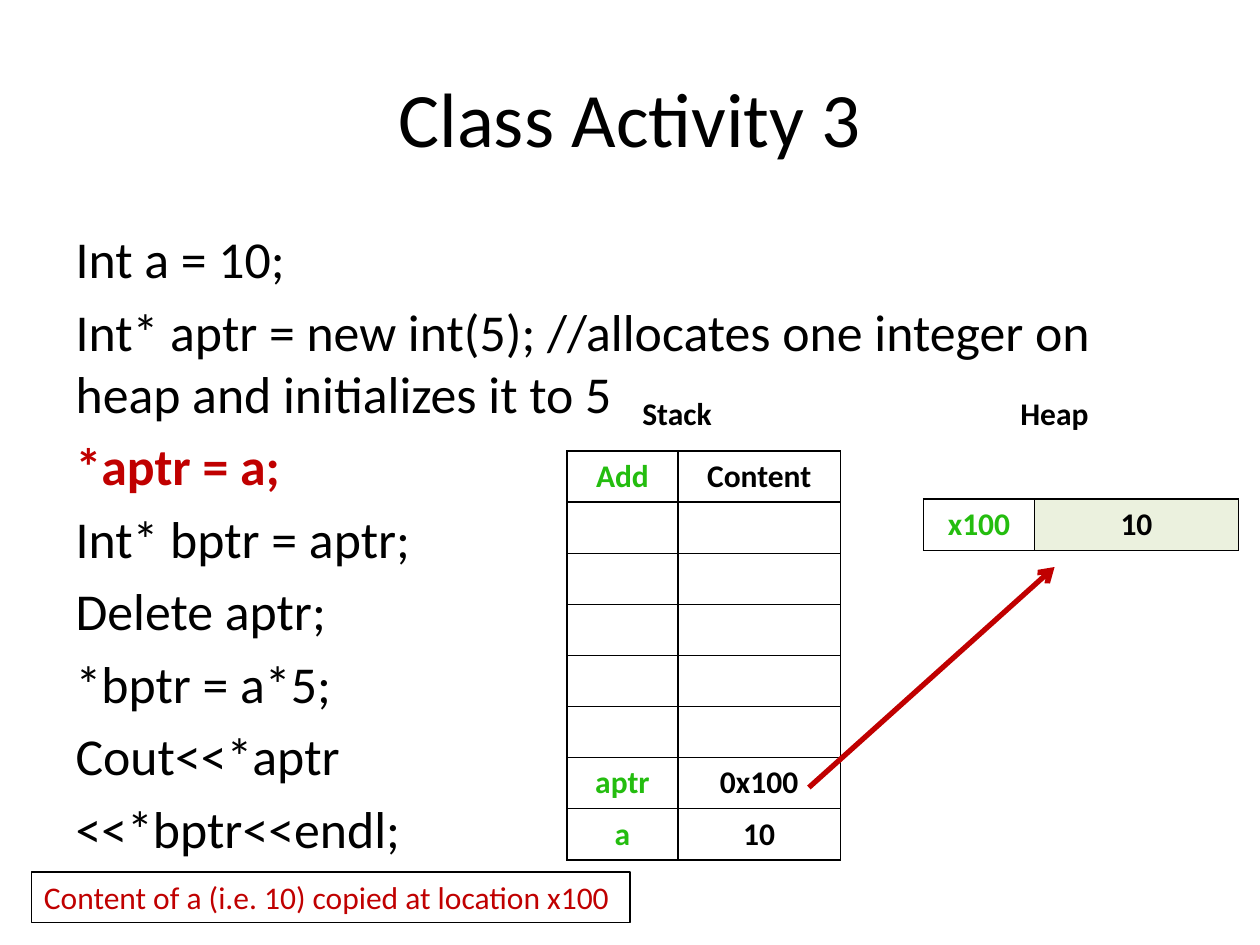
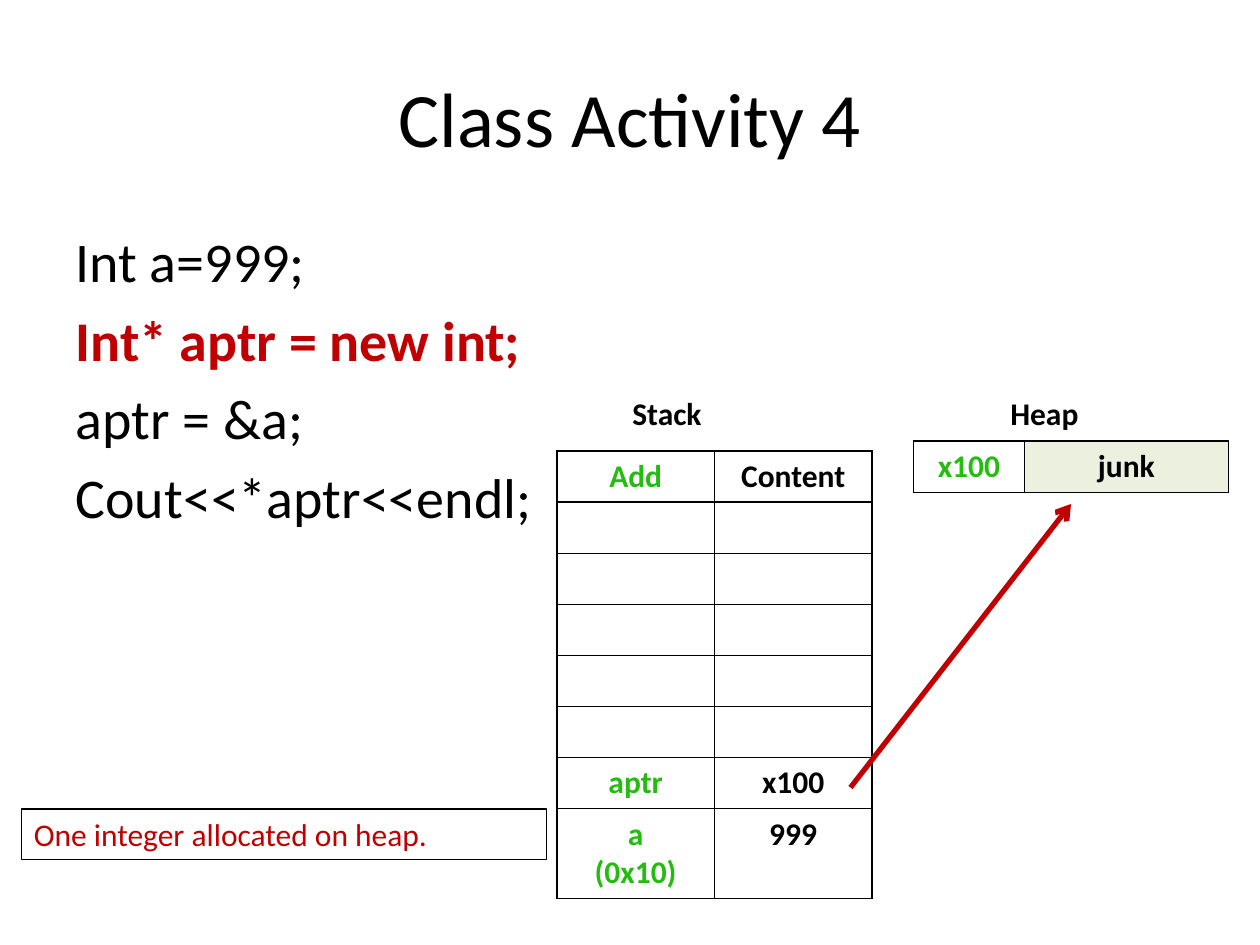
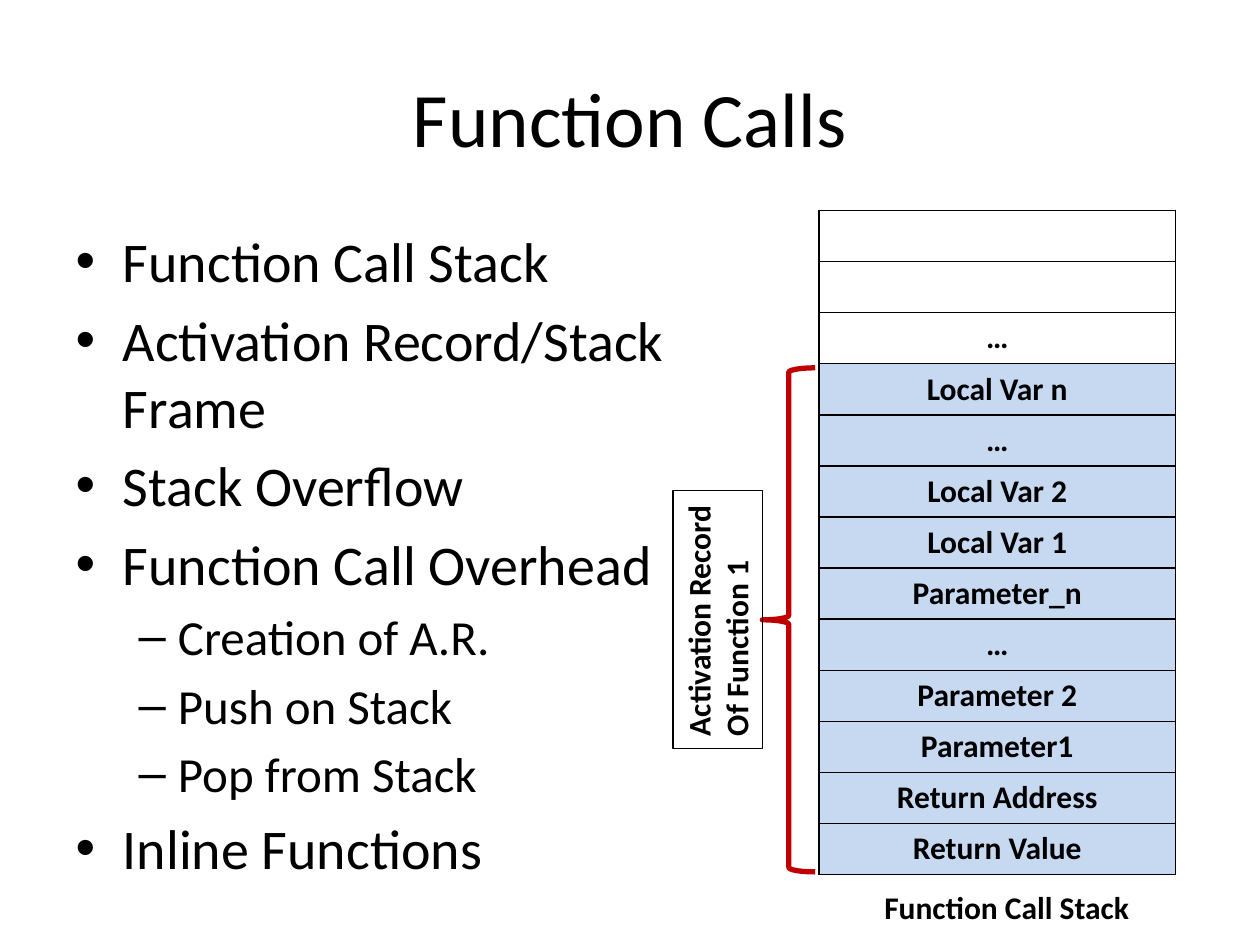
"""Build three slides on pointers, the heap and the function call stack."""
import pptx
import pptx.dml.color
import pptx.enum.shapes
import pptx.enum.text
import pptx.oxml.ns
import pptx.util
from lxml import etree

Inches = pptx.util.Inches
Pt = pptx.util.Pt
FONT = "Calibri"
BLACK = "000000"
RED = "C00000"
GREEN = "24BD0F"
OLIVE = "EBF1DE"
BLUE = "C6D9F1"
CENTER = pptx.enum.text.PP_ALIGN.CENTER
SHAPE = pptx.enum.shapes.MSO_SHAPE


def color(code):
    """Turn a hex string into a colour."""
    return pptx.dml.color.RGBColor.from_string(code)


def place(at):
    """Turn a list of inches into lengths."""
    return [Inches(num) for num in at]


def sub(node, tag, **attrs):
    """Add a drawing element below a node."""
    return etree.SubElement(node, pptx.oxml.ns.qn(tag), **attrs)


def write(frame, text, size=18, hue=BLACK, bold=None, align=None, level=0, plain=False):
    """Add each line of the text as a paragraph in the given format."""
    for line in text.split("\n"):
        para = frame.paragraphs[0]
        if para.runs:
            para = frame.add_paragraph()
        para.alignment = align
        para.level = level
        if plain:
            props = para._p.get_or_add_pPr()
            props.set("marL", "0")
            props.set("indent", "0")
            sub(props, "a:buNone")
        run = para.add_run()
        run.text = line
        run.font.name = FONT
        run.font.size = Pt(size)
        run.font.bold = bold
        run.font.color.rgb = color(hue)


def start(deck, title, width=9):
    """Add a slide with its title and return it with its body frame."""
    slide = deck.slides.add_slide(deck.slide_layouts[1])
    head, body = slide.placeholders
    spots = (head, (0.5, 0.3, 9, 1.25)), (body, (0.5, 1.75, width, 4.95))
    for holder, at in spots:
        holder.left, holder.top, holder.width, holder.height = place(at)
        holder.text_frame.auto_size = pptx.enum.text.MSO_AUTO_SIZE.NONE
    write(head.text_frame, title, size=44, align=CENTER)
    return slide, body.text_frame


def code(frame, lines, size, mark):
    """List code lines and stress the marked one."""
    for line in lines:
        if line == mark:
            write(frame, line, size=size, hue=RED, bold=True, plain=True)
        else:
            write(frame, line, size=size, plain=True)


def label(slide, text, at, edge=False, wrap=False, turn=0, hue=BLACK, bold=True):
    """Add a text box, with a thin edge if asked."""
    box = slide.shapes.add_textbox(*place(at))
    box.rotation = turn
    box.text_frame.word_wrap = wrap
    if edge:
        box.line.color.rgb = color(BLACK)
        box.line.width = Pt(0.75)
    write(box.text_frame, text, hue=hue, bold=bold)


def border(cell):
    """Draw a thin black line on each side of a cell."""
    props = cell._tc.get_or_add_tcPr()
    for pos, side in enumerate(("a:lnL", "a:lnR", "a:lnT", "a:lnB")):
        line = etree.Element(pptx.oxml.ns.qn(side), w=str(Pt(1)))
        sub(sub(line, "a:solidFill"), "a:srgbClr", val=BLACK)
        props.insert(pos, line)


def grid(slide, rows, at, cols, hues, fill=None, first=(0, 0)):
    """Add a table, filled from the first given row and column on."""
    table = slide.shapes.add_table(len(rows), len(cols), *place(at)).table
    table.first_row = table.horz_banding = False
    for col, width in zip(table.columns, cols):
        col.width = Inches(width)
    for i, row in enumerate(rows):
        for j, text in enumerate(row):
            cell = table.cell(i, j)
            if fill and i >= first[0] and j >= first[1]:
                cell.fill.solid()
                cell.fill.fore_color.rgb = color(fill)
            else:
                cell.fill.background()
            border(cell)
            if text:
                write(cell.text_frame, text, hue=hues[j], bold=True, align=CENTER)


def arrow(slide, tail, tip):
    """Draw a red arrow from tail to tip."""
    kind = pptx.enum.shapes.MSO_CONNECTOR.STRAIGHT
    link = slide.shapes.add_connector(kind, *place(tail + tip))
    link.line.color.rgb = color(RED)
    link.line.width = Pt(3)
    sub(link.line._get_or_add_ln(), "a:tailEnd", type="arrow")
    sub(link._element.spPr, "a:effectLst")


def brace(slide, at):
    """Draw a red left brace."""
    shape = slide.shapes.add_shape(SHAPE.LEFT_BRACE, *place(at))
    shape.shadow.inherit = False
    shape.fill.background()
    shape.line.color.rgb = color(RED)
    shape.line.width = Pt(3)


def memory(slide, left, cols, used, value, top):
    """Draw the stack with its used rows and the one heap cell."""
    hues = GREEN, BLACK
    rows = [("Add", "Content")] + [("", "")] * 5 + used
    grid(slide, rows, (left, 3.58, sum(cols), 3.24), cols, hues)
    cell = [("x100", value)]
    at = left + 2.83, top, 2.5, 0.41
    grid(slide, cell, at, (0.88, 1.62), hues, fill=OLIVE, first=(0, 1))
    label(slide, "Stack", (left + 0.5, 3.08, 0.76, 0.4))
    label(slide, "Heap", (left + 3.5, 3.08, 0.74, 0.4))


def copied(deck):
    """Build the slide on copying a value to the heap."""
    slide, body = start(deck, "Class Activity 3")
    lines = [
        "Int a = 10;",
        "Int* aptr = new int(5); //allocates one integer on heap and initializes it to 5",
        "*aptr = a;",
        "Int* bptr = aptr;",
        "Delete aptr;",
        "*bptr = a*5;",
        "Cout<<*aptr",
        "<<*bptr<<endl;",
    ]
    code(body, lines, 29.6, "*aptr = a;")
    used = [("aptr", "0x100"), ("a", "10")]
    memory(slide, 4.5, (0.88, 1.29), used, "10", 3.96)
    arrow(slide, (6.42, 6.25), (8.37, 4.5))
    note = "Content of a (i.e. 10) copied at location x100"
    label(slide, note, (0.25, 6.92, 4.75, 0.4), edge=True, hue=RED, bold=None)


def leaked(deck):
    """Build the slide on allocating an integer."""
    slide, body = start(deck, "Class Activity 4")
    lines = ["Int a=999;", "Int* aptr = new int;", "aptr = &a;", "Cout<<*aptr<<endl;"]
    code(body, lines, 32, "Int* aptr = new int;")
    used = [("aptr", "x100"), ("a\n(0x10)", "999")]
    memory(slide, 4.42, (1.25, 1.25), used, "junk", 3.5)
    arrow(slide, (6.75, 6.25), (8.5, 4))
    note = "One integer allocated on heap."
    at = 0.17, 6.42, 4.17, 0.4
    label(slide, note, at, edge=True, wrap=True, hue=RED, bold=None)


def calls(deck):
    """Build the slide on function calls."""
    slide, body = start(deck, "Function Calls", width=5)
    items = [
        ("Function Call Stack", 0),
        ("Activation Record/Stack Frame", 0),
        ("Stack Overflow", 0),
        ("Function Call Overhead", 0),
        ("Creation of A.R.", 1),
        ("Push on Stack", 1),
        ("Pop from Stack", 1),
        ("Inline Functions", 0),
    ]
    for text, level in items:
        write(body, text, size=32 - 4 * level, level=level)
    names = [
        "", "", "…", "Local Var n", "…", "Local Var 2", "Local Var 1",
        "Parameter_n", "…", "Parameter 2", "Parameter1",
        "Return Address", "Return Value",
    ]
    rows = [(name,) for name in names]
    at = 6.5, 1.67, 2.83, 5.27
    grid(slide, rows, at, (2.83,), (BLACK,), fill=BLUE, first=(3, 0))
    label(slide, "Function Call Stack", (6.92, 7, 2.16, 0.4))
    brace(slide, (6.05, 2.92, 0.42, 4))
    name = "Activation Record\nOf Function 1"
    label(slide, name, (4.67, 4.56, 2.05, 0.71), edge=True, turn=270)


def main():
    """Build and save the deck."""
    deck = pptx.Presentation()
    deck.slide_width, deck.slide_height = place((10, 7.5))
    copied(deck)
    leaked(deck)
    calls(deck)
    deck.save("out.pptx")


if __name__ == "__main__":
    main()
